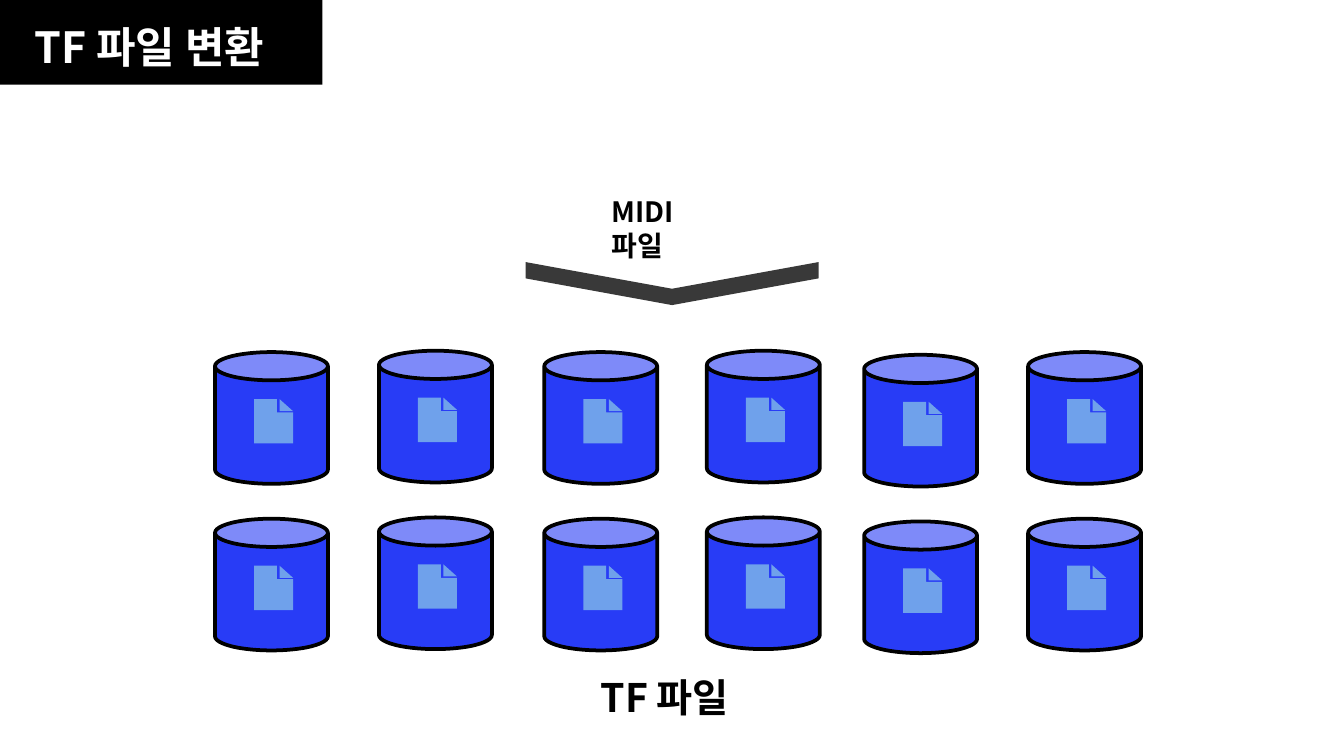
import pptx
import pptx.util
import pptx.dml.color
import pptx.enum.shapes
import pptx.oxml.ns
import lxml.etree

PX = 9144  # 100 px to the inch
FONT = "Noto Sans CJK KR"
RGB = pptx.dml.color.RGBColor
BLACK = RGB(0x00, 0x00, 0x00)
WHITE = RGB(0xFF, 0xFF, 0xFF)
BLUE = RGB(0x28, 0x3C, 0xF6)
SKY = RGB(0x6F, 0xA1, 0xEB)
GRAY = RGB(0x39, 0x39, 0x39)
KIND = pptx.enum.shapes.MSO_SHAPE

# Slide in 16:9
deck = pptx.Presentation()
deck.slide_width = 1000 * PX
deck.slide_height = deck.slide_width * 9 // 16
slide = deck.slides.add_slide(deck.slide_layouts[6])
shapes = slide.shapes


def paint(shape, fill):
    shape.shadow.inherit = False
    shape.fill.solid()
    shape.fill.fore_color.rgb = fill
    shape.line.fill.background()


def write(text, left, top, width, height, size, color):
    box = shapes.add_textbox(left * PX, top * PX, width * PX, height * PX)
    frame = box.text_frame
    frame.word_wrap = True
    para = frame.paragraphs[0]
    para.line_spacing = pptx.util.Pt(round(size * 1.2))
    run = para.add_run()
    run.text = text
    run.font.name = FONT
    run.font.size = pptx.util.Pt(size)
    run.font.bold = True
    run.font.color.rgb = color
    # Hangul takes the East Asian font
    east = lxml.etree.SubElement(run.font._element, pptx.oxml.ns.qn("a:ea"))
    east.set("typeface", FONT)
    return frame


# Labels
label = write("MIDI 파일", 445, 140, 111, 35, 15, BLACK)
label.margin_right = 20 * PX  # keeps the label on two lines
write("TF 파일", 437, 496, 142, 45, 21, BLACK)

# Grid of stores, each with a file icon
PAGE = [(0, 0), (17, 0), (17, 10), (29, 10), (29, 33), (0, 33)]
FOLD = [(19, 0), (29, 9), (19, 9)]
STORES = [(160, 262), (282, 261), (405, 262), (526, 261), (643, 264), (765, 262)]
for left, top in STORES:
    for row in range(2):
        y = top + row * 124
        can = shapes.add_shape(KIND.CAN, left * PX, y * PX, 84 * PX, 98 * PX)
        paint(can, BLUE)
        can.line.color.rgb = BLACK
        can.line.width = pptx.util.Pt(2)

        pen = shapes.build_freeform(*PAGE[0], scale=PX)
        pen.add_line_segments(PAGE[1:], close=True)
        pen.move_to(*FOLD[0])
        pen.add_line_segments(FOLD[1:], close=True)
        paint(pen.convert_to_shape((left + 29) * PX, (y + 35) * PX), SKY)

# Title bar
bar = shapes.add_shape(KIND.RECTANGLE, 0, 0, 240 * PX, 63 * PX)
paint(bar, BLACK)
write("TF 파일 변환", 16, 10, 220, 39, 23, WHITE)

# Chevron pointing down at the stores
arrow = shapes.add_shape(KIND.CHEVRON, 484 * PX, 102 * PX, 32 * PX, 218 * PX)
arrow.adjustments[0] = 0.62
arrow.rotation = 90
paint(arrow, GRAY)

deck.save("out.pptx")
